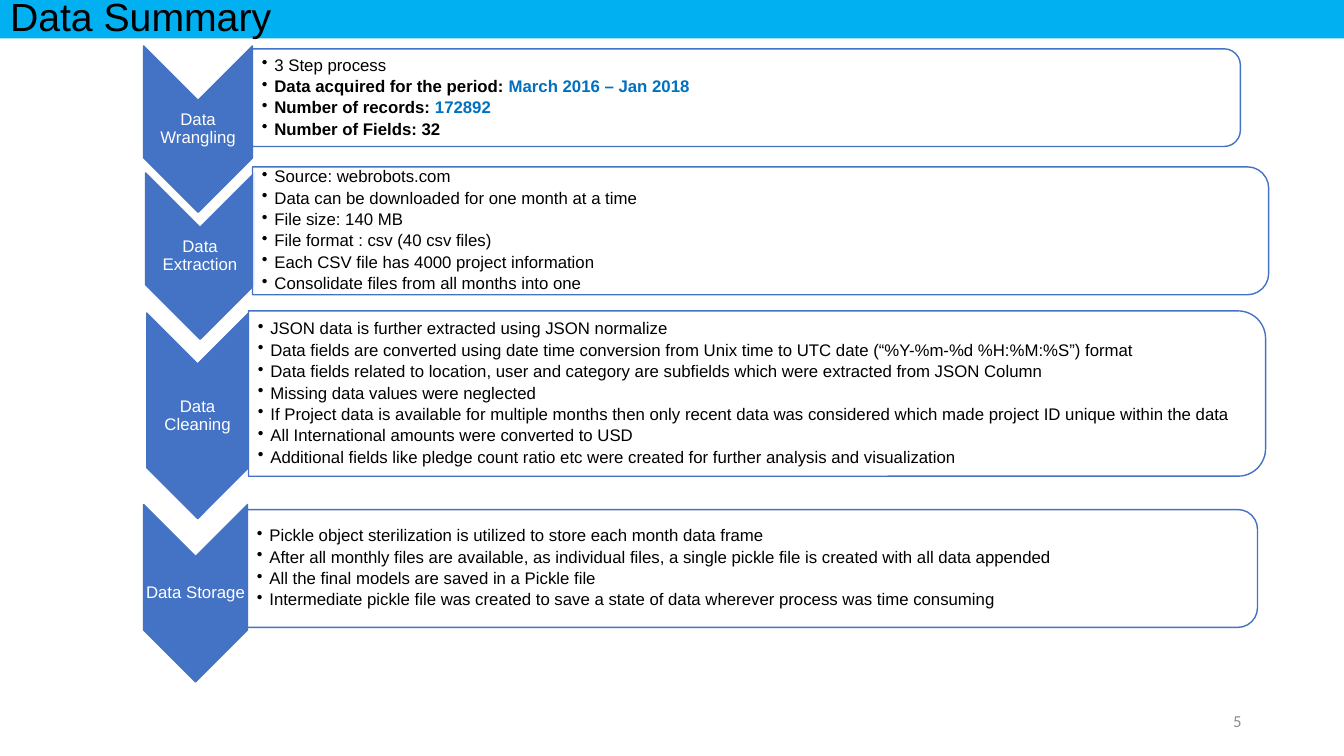
from dataclasses import dataclass

from lxml.etree import SubElement
from pptx import Presentation
from pptx.dml.color import RGBColor as RGB
from pptx.enum.shapes import MSO_SHAPE as SHAPE
from pptx.enum.text import MSO_ANCHOR as ANCHOR, MSO_AUTO_SIZE as AUTOSIZE, PP_ALIGN as ALIGN
from pptx.oxml.ns import qn
from pptx.util import Pt

# Content: each step has a label, its chevron and panel boxes
# (left, top, width, height in points) and its bullets.
# A bullet is a string, or a list of (text, colour name) bold runs.
TITLE = "Data Summary"
PAGE = "5"
STEPS = [
    ("Data Wrangling", (102.6, 32.8, 77.8, 118.8), (180.4, 34.9, 705.6, 69.8), [
        "3 Step process",
        [("Data acquired for the period: ", "ink"), ("March 2016 – Jan 2018", "accent")],
        [("Number of records: ", "ink"), ("172892", "accent")],
        [("Number of Fields: 32", "ink")],
    ]),
    ("Data Extraction", (104, 123.5, 77.8, 118.8), (180.4, 119.2, 725.8, 91.4), [
        "Source: webrobots.com",
        "Data can be downloaded for one month at a time",
        "File size: 140 MB",
        "File format : csv (40 csv files)",
        "Each CSV file has 4000 project information",
        "Consolidate files from all months into one",
    ]),
    ("Data Cleaning", (104.8, 223.6, 72.7, 146.9), (177.5, 222.1, 726.5, 118.1), [
        "JSON data is further extracted using JSON normalize",
        "Data fields are converted using date time conversion from Unix time to UTC date "
        "(“%Y-%m-%d %H:%M:%S”) format",
        "Data fields related to location, user and category are subfields which were "
        "extracted from JSON Column",
        "Missing data values were neglected",
        "If Project data is available for multiple months then only recent data was "
        "considered which made project ID unique within the data",
        "All International amounts were converted to USD",
        "Additional fields like pledge count ratio etc were created for further analysis "
        "and visualization",
    ]),
    ("Data Storage", (102.6, 360.4, 74.2, 126.7), (176.8, 364, 721.4, 84.2), [
        "Pickle object sterilization is utilized to store each month data frame",
        "After all monthly files are available, as individual files, a single pickle file "
        "is created with all data appended",
        "All the final models are saved in a Pickle file",
        "Intermediate pickle file was created to save a state of data wherever process "
        "was time consuming",
    ]),
]


@dataclass(frozen=True)
class Theme:
    bar: RGB = RGB(0x00, 0xB0, 0xF0)
    step: RGB = RGB(0x44, 0x72, 0xC4)
    accent: RGB = RGB(0x00, 0x70, 0xC0)
    ink: RGB = RGB(0, 0, 0)
    paper: RGB = RGB(255, 255, 255)
    muted: RGB = RGB(0x8C, 0x8C, 0x8C)
    font: str = "Arial"
    page_font: str = "Calibri"
    title_size: float = 28
    body_size: float = 12


T = Theme()


def place(s, box):
    s.left, s.top, s.width, s.height = (Pt(v) for v in box)


def write(s, paragraphs, *, color="ink", size=T.body_size, font=T.font, align=ALIGN.LEFT,
          spacing=0.9, after=0, bullet=False, insets=(7.2, 3.6, 7.2, 3.6)):
    tf = s.text_frame
    tf.word_wrap = True
    tf.auto_size = AUTOSIZE.NONE
    tf.vertical_anchor = ANCHOR.MIDDLE
    tf.margin_left, tf.margin_top, tf.margin_right, tf.margin_bottom = map(Pt, insets)
    for i, content in enumerate(paragraphs):
        p = tf.add_paragraph() if i else tf.paragraphs[0]
        p.alignment, p.line_spacing, p.space_after = align, spacing, Pt(after)
        if bullet:
            pPr = p._p.get_or_add_pPr()
            pPr.set("marL", str(Pt(9)))
            pPr.set("indent", str(-Pt(9)))
            SubElement(pPr, qn("a:buChar"), char="•")
        plain = isinstance(content, str)
        for text, ink in [(content, color)] if plain else content:
            r = p.add_run()
            r.text = text
            r.font.name, r.font.size, r.font.bold = font, Pt(size), not plain
            r.font.color.rgb = getattr(T, ink)


def add_turned(slide, kind, box, fill):
    """Add a shape turned a quarter clockwise so that it covers box."""
    x, y, w, h = box
    s = slide.shapes.add_shape(kind, 0, 0, 0, 0)
    place(s, (x + (w - h) / 2, y + (h - w) / 2, h, w))
    s.rotation = 90
    s.shadow.inherit = False
    s.fill.solid()
    s.fill.fore_color.rgb = fill
    s.line.color.rgb = T.step
    s.line.width = Pt(1)
    return s


def add_text(slide, box, paragraphs, **style):
    s = slide.shapes.add_textbox(0, 0, 0, 0)
    place(s, box)
    write(s, paragraphs, **style)


def main():
    prs = Presentation()
    prs.slide_width, prs.slide_height = Pt(960), Pt(540)
    slide = prs.slides.add_slide(prs.slide_layouts[5])

    # Title bar
    title = slide.shapes.title
    place(title, (0, 0, 960, 27.4))
    title.fill.solid()
    title.fill.fore_color.rgb = T.bar
    write(title, [TITLE], size=T.title_size)

    # Process steps
    for label, chevron, panel, bullets in STEPS:
        add_turned(slide, SHAPE.CHEVRON, chevron, T.step)
        add_text(slide, chevron, [label], color="paper", align=ALIGN.CENTER,
                 insets=(0.7,) * 4)
        s = add_turned(slide, SHAPE.ROUND_2_SAME_RECTANGLE, panel, T.paper)
        rgb = s.fill._xPr.find(qn("a:solidFill"))[0]
        SubElement(rgb, qn("a:alpha"), val="90000")
        add_text(slide, panel, bullets, bullet=True, after=2.3, insets=(6.6, 0.7, 3.6, 0.7))

    # Page number
    add_text(slide, (678, 500.5, 216, 28.8), [PAGE], color="muted", font=T.page_font,
             align=ALIGN.RIGHT, spacing=1.0)

    prs.save("out.pptx")


if __name__ == "__main__":
    main()
